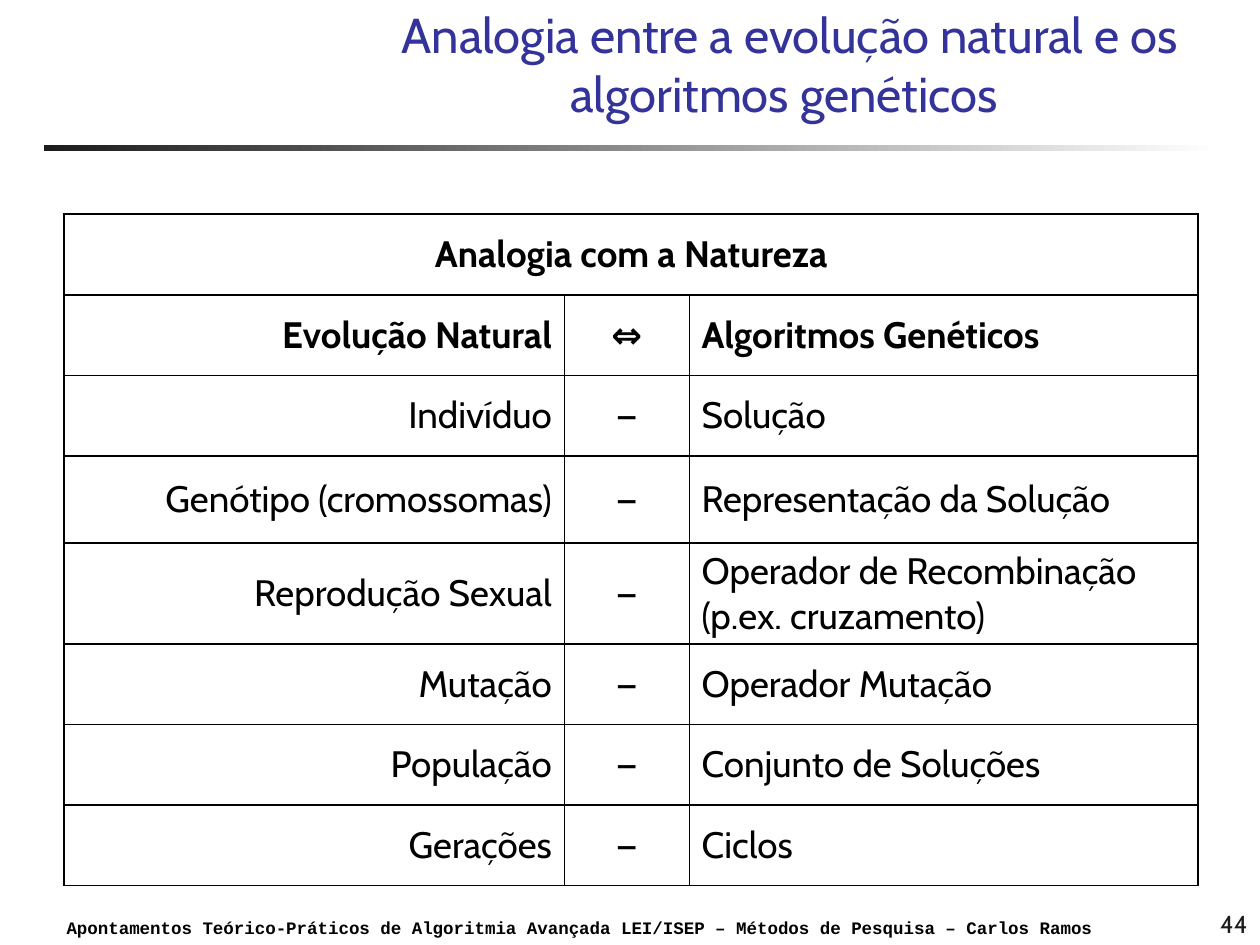
"""Build a slide with a table comparing natural evolution and genetic algorithms."""
from dataclasses import dataclass

from lxml import etree
from pptx import Presentation
from pptx import util as u
from pptx.dml.color import RGBColor
from pptx.enum import shapes, text
from pptx.oxml.ns import qn

COLORS = {"title": "333399", "ink": "000000", "dark": "1C1C1C", "paper": "FFFFFF"}
ALIGN = text.PP_ALIGN
ANCHOR = text.MSO_ANCHOR
COLUMN_WIDTHS = (3.97, 0.99, 4.04)
COLUMN_ALIGNS = (ALIGN.RIGHT, ALIGN.CENTER, ALIGN.LEFT)
ROW_HEIGHT, GENOTYPE_ROW_HEIGHT = 0.64, 0.69
HEADING = "Analogia com a Natureza"
COLUMN_HEADS = ("Evolução Natural", "⇔", "Algoritmos Genéticos")
ANALOGIES = (
    ("Indivíduo", "Solução"),
    ("Genótipo (cromossomas)", "Representação da Solução"),
    ("Reprodução Sexual", "Operador de Recombinação (p.ex. cruzamento)"),
    ("Mutação", "Operador Mutação"),
    ("População", "Conjunto de Soluções"),
    ("Gerações", "Ciclos"),
)


@dataclass
class Label:
    """Text with its box (left, top, width, height in inches) and style."""
    words: str
    box: tuple[float, float, float, float]
    size: float
    color: str
    font: str = "Cabin"
    bold: bool = False
    align: ALIGN = ALIGN.LEFT
    anchor: ANCHOR = ANCHOR.TOP


LABELS = (
    Label("Apontamentos Teórico-Práticos de Algoritmia Avançada LEI/ISEP – "
          "Métodos de Pesquisa – Carlos Ramos",
          (0.43, 7.23, 8.43, 0.27), 10, "ink", font="Courier New", bold=True),
    Label("44", (7.92, 7, 2.08, 0.5), 14, "dark", align=ALIGN.RIGHT, anchor=ANCHOR.BOTTOM),
    Label("Analogia entre a evolução natural e os algoritmos genéticos ",
          (2.87, 0.44, 6.79, 0.58), 28, "title", align=ALIGN.CENTER, anchor=ANCHOR.BOTTOM),
)


def rgb(name: str) -> RGBColor:
    """Return a named colour."""
    return RGBColor.from_string(COLORS[name])


def style(p, size: float, color: str, font: str, bold: bool, align: ALIGN) -> None:
    """Set the font and alignment of a paragraph."""
    p.alignment = align
    p.font.size = u.Pt(size)
    p.font.name = font
    p.font.bold = bold
    p.font.color.rgb = rgb(color)


def add_label(s, label: Label) -> None:
    """Draw one text box."""
    tf = s.shapes.add_textbox(*map(u.Inches, label.box)).text_frame
    tf.word_wrap = True
    tf.vertical_anchor = label.anchor
    tf.text = label.words
    style(tf.paragraphs[0], label.size, label.color, label.font, label.bold, label.align)


def add_rule(s) -> None:
    """Draw the fading bar under the title."""
    box = map(u.Inches, (0.35, 1.15, 9.32, 0.05))
    sp = s.shapes.add_shape(shapes.MSO_SHAPE.RECTANGLE, *box)
    sp.shadow.inherit = False
    sp.line.fill.background()
    sp.fill.gradient()
    sp.fill.gradient_angle = 0
    for stop, color in zip(sp.fill.gradient_stops, ("dark", "paper")):
        stop.color.rgb = rgb(color)


def set_borders(cell, widths: dict[str, float]) -> None:
    """Give a cell solid borders, with widths in points by side."""
    tc_pr = cell._tc.get_or_add_tcPr()
    for i, (side, width) in enumerate(widths.items()):
        ln = etree.Element(qn(f"a:ln{side}"), w=str(u.Pt(width)))
        fill = etree.SubElement(ln, qn("a:solidFill"))
        etree.SubElement(fill, qn("a:srgbClr"), val=COLORS["ink"])
        tc_pr.insert(i, ln)


def fill_cell(cell, words: str, bold: bool, align: ALIGN) -> None:
    """Write one table cell."""
    cell.fill.background()
    cell.vertical_anchor = ANCHOR.MIDDLE
    cell.text = words
    style(cell.text_frame.paragraphs[0], 21, "ink", "Cabin", bold, align)


def add_analogy_table(s) -> None:
    """Draw the table with its merged heading."""
    rows = [(HEADING, "", ""), COLUMN_HEADS]
    rows += [(nature, "—", algorithm) for nature, algorithm in ANALOGIES]
    last = len(COLUMN_WIDTHS) - 1
    box = map(u.Inches, (0.51, 1.7, sum(COLUMN_WIDTHS), ROW_HEIGHT * len(rows)))
    table = s.shapes.add_table(len(rows), len(COLUMN_WIDTHS), *box).table
    table.first_row = table.horz_banding = False
    for column, width in zip(table.columns, COLUMN_WIDTHS):
        column.width = u.Inches(width)
    for r, row in enumerate(rows):
        is_genotype = row[0].startswith("Genótipo")
        table.rows[r].height = u.Inches(GENOTYPE_ROW_HEIGHT if is_genotype else ROW_HEIGHT)
        for c, words in enumerate(row):
            cell = table.cell(r, c)
            fill_cell(cell, words, r < 2, COLUMN_ALIGNS[c] if r else ALIGN.CENTER)
            set_borders(cell, {"L": 0.75 if r and c else 1,
                               "R": 0.75 if r and c < last else 1, "T": 1, "B": 1})
    table.cell(0, 0).merge(table.cell(0, last))


def main() -> None:
    """Build and save the slide."""
    prs = Presentation()
    prs.slide_width, prs.slide_height = u.Inches(10), u.Inches(7.5)
    s = prs.slides.add_slide(prs.slide_layouts[6])
    add_rule(s)
    for label in LABELS:
        add_label(s, label)
    add_analogy_table(s)
    prs.save("out.pptx")


if __name__ == "__main__":
    main()
